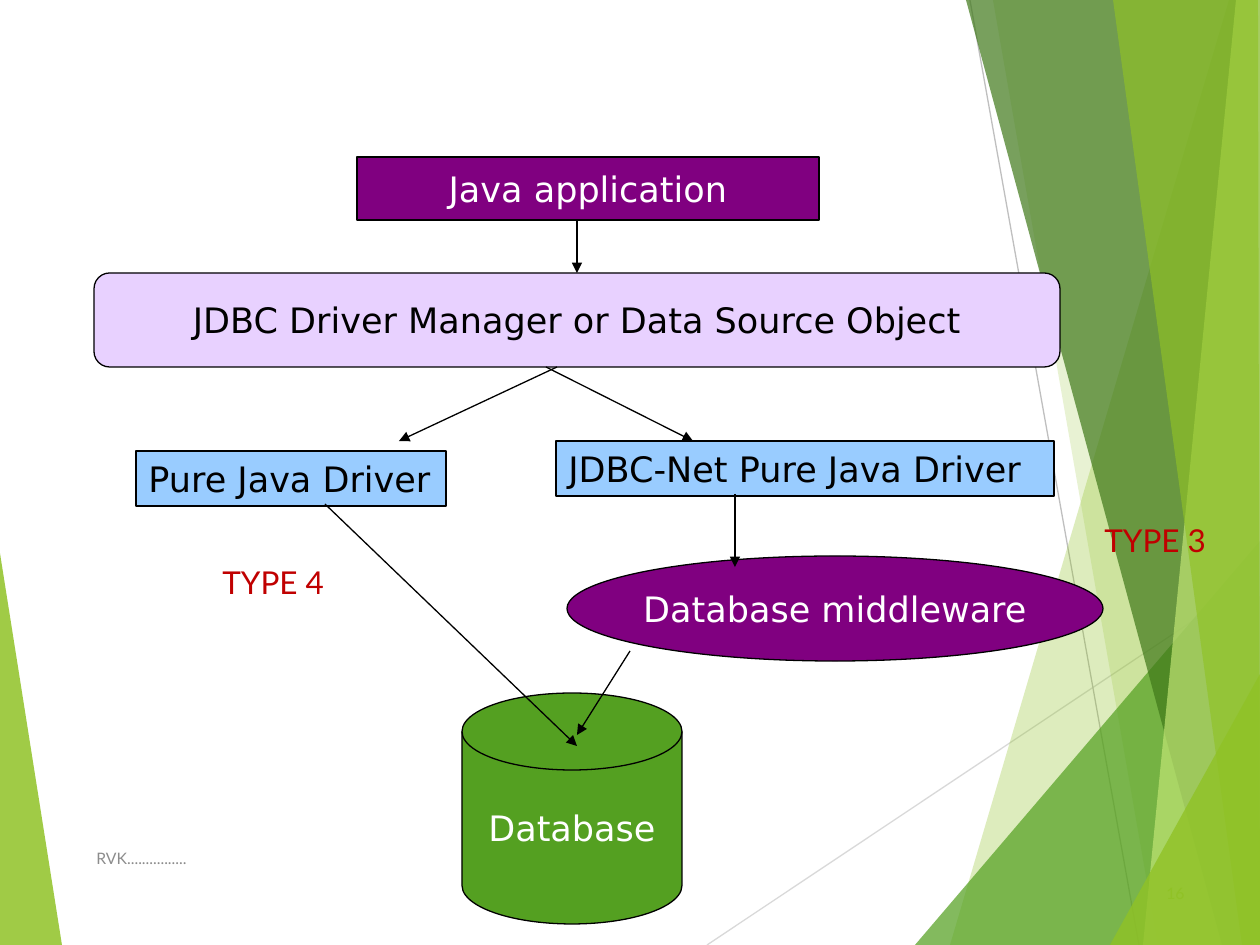
"""Build a slide that shows how JDBC drivers of type 3 and type 4 reach a database."""
from lxml.etree import SubElement
from pptx import Presentation
from pptx.dml.color import RGBColor
from pptx.enum.shapes import MSO_CONNECTOR, MSO_SHAPE as SHAPE
from pptx.enum.text import MSO_ANCHOR as ANCHOR, PP_ALIGN as ALIGN
from pptx.oxml.ns import qn
from pptx.util import Pt

SCALE = 914400 / 126
WIDTH, HEIGHT = 1260, 945

COLORS = {
    "lime": "90C226", "green": "54A021", "forest": "3F7819", "pale": "C0E474",
    "purple": "800080", "lilac": "E8D1FF", "sky": "99CCFF", "red": "C00000",
    "black": "000000", "white": "FFFFFF", "grey": "8C8C8C",
    "light": "D9D9D9", "silver": "BFBFBF",
}

LEFT_FACET = ("lime", 85, [(0, 553), (62, 945), (0, 945)])
HAIRLINES = [((707, 945), (1260, 576), "light"), ((970, 0), (1139, 945), "silver")]
RIGHT_FACETS = [
    ("lime", 30, [(1229, 0), (950, 945), (1260, 945), (1260, 0)]),
    ("lime", 20, [(993, 0), (1158, 945), (1260, 945), (1260, 0)]),
    ("green", 72, [(915, 945), (1260, 541), (1260, 945)]),
    ("forest", 70, [(966, 0), (1222, 945), (1260, 945), (1260, 0)]),
    ("pale", 70, [(1236, 0), (1143, 945), (1260, 945), (1260, 0)]),
    ("lime", 65, [(1113, 0), (1242, 945), (1260, 945), (1258, 0)]),
    ("lime", 80, [(1110, 945), (1260, 674), (1260, 945)]),
]

CENTERED = {"align": ALIGN.CENTER, "anchor": ANCHOR.MIDDLE, "wrap": False}
LEFT_TOP = {"align": ALIGN.LEFT, "anchor": ANCHOR.TOP, "wrap": True}
LEFT_MIDDLE = {**LEFT_TOP, "anchor": ANCHOR.MIDDLE}
RIGHT_MIDDLE = {**LEFT_MIDDLE, "align": ALIGN.RIGHT}

NODES = [
    ("Java application", SHAPE.RECTANGLE, (357, 157, 462, 63), "purple", "white", CENTERED),
    ("JDBC Driver Manager or Data Source Object", SHAPE.ROUNDED_RECTANGLE,
     (94, 273, 966, 94), "lilac", "black", CENTERED),
    ("Pure Java Driver", SHAPE.RECTANGLE, (136, 451, 310, 55), "sky", "black", LEFT_TOP),
    ("JDBC-Net Pure Java Driver", SHAPE.RECTANGLE, (556, 441, 498, 55), "sky", "black", LEFT_TOP),
    ("Database middleware", SHAPE.OVAL, (567, 556, 536, 105), "purple", "white", CENTERED),
    ("Database", SHAPE.FLOWCHART_MAGNETIC_DISK, (462, 693, 220, 231), "green", "white", CENTERED),
]
MANAGER = "JDBC Driver Manager or Data Source Object"

ARROWS = [
    ((577, 220), (577, 273), MANAGER),
    ((557, 367), (399, 441), None),
    ((546, 367), (693, 441), None),
    ((735, 494), (735, 567), None),
    ((630, 651), (577, 735), None),
    ((325, 504), (577, 746), None),
]

LABELS = [
    ("RVK................", (84, 833, 638, 50), 9, "grey", LEFT_MIDDLE),
    ("16", (1110, 868, 87, 50), 9, "lime", RIGHT_MIDDLE),
    ("TYPE 4", (210, 557, 135, 50), 18, "red", LEFT_TOP),
    ("TYPE 3", (1092, 515, 135, 50), 18, "red", LEFT_TOP),
]


def px(*values):
    return [round(value * SCALE) for value in values]


def color(name):
    return RGBColor.from_string(COLORS[name])


def paint(shape, name):
    shape.shadow.inherit = False
    shape.fill.solid()
    shape.fill.fore_color.rgb = color(name)


def add_facet(page, name, opacity, points):
    builder = page.shapes.build_freeform(*points[0], scale=SCALE)
    builder.add_line_segments(points[1:], close=True)
    facet = builder.convert_to_shape()
    paint(facet, name)
    facet.line.fill.background()
    tint = facet.fill._xPr.find(qn("a:solidFill"))[0]
    SubElement(tint, qn("a:alpha"), val=str(opacity * 1000))


def add_line(page, start, end, name):
    line = page.shapes.add_connector(MSO_CONNECTOR.STRAIGHT, *px(*start, *end))
    line.line.color.rgb = color(name)
    line.line.width = Pt(0.75)
    SubElement(line._element.spPr, qn("a:effectLst"))
    return line


def write(box, text, font, size, name, layout):
    frame = box.text_frame
    frame.word_wrap = layout["wrap"]
    frame.vertical_anchor = layout["anchor"]
    para = frame.paragraphs[0]
    para.alignment = layout["align"]
    span = para.add_run()
    span.text = text
    for key, value in {"name": font, "size": Pt(size)}.items():
        setattr(span.font, key, value)
    span.font.color.rgb = color(name)


def add_node(page, text, kind, place, fill, ink, layout):
    node = page.shapes.add_shape(kind, *px(*place))
    paint(node, fill)
    node.line.color.rgb = color("black")
    node.line.width = Pt(0.75)
    write(node, text, "DejaVu Sans", 20, ink, layout)
    return node


def main():
    deck = Presentation()
    deck.slide_width, deck.slide_height = px(WIDTH, HEIGHT)
    page = deck.slides.add_slide(deck.slide_layouts[6])

    add_facet(page, *LEFT_FACET)
    for hairline in HAIRLINES:
        add_line(page, *hairline)
    for facet in RIGHT_FACETS:
        add_facet(page, *facet)

    nodes = {node[0]: add_node(page, *node) for node in NODES}

    for start, end, target in ARROWS:
        arrow = add_line(page, start, end, "black")
        if target:
            arrow.end_connect(nodes[target], 0)
        SubElement(arrow.line._get_or_add_ln(), qn("a:tailEnd"), type="triangle")

    for text, place, size, ink, layout in LABELS:
        label = page.shapes.add_textbox(*px(*place))
        write(label, text, "Lato", size, ink, layout)

    deck.save("out.pptx")


if __name__ == "__main__":
    main()
